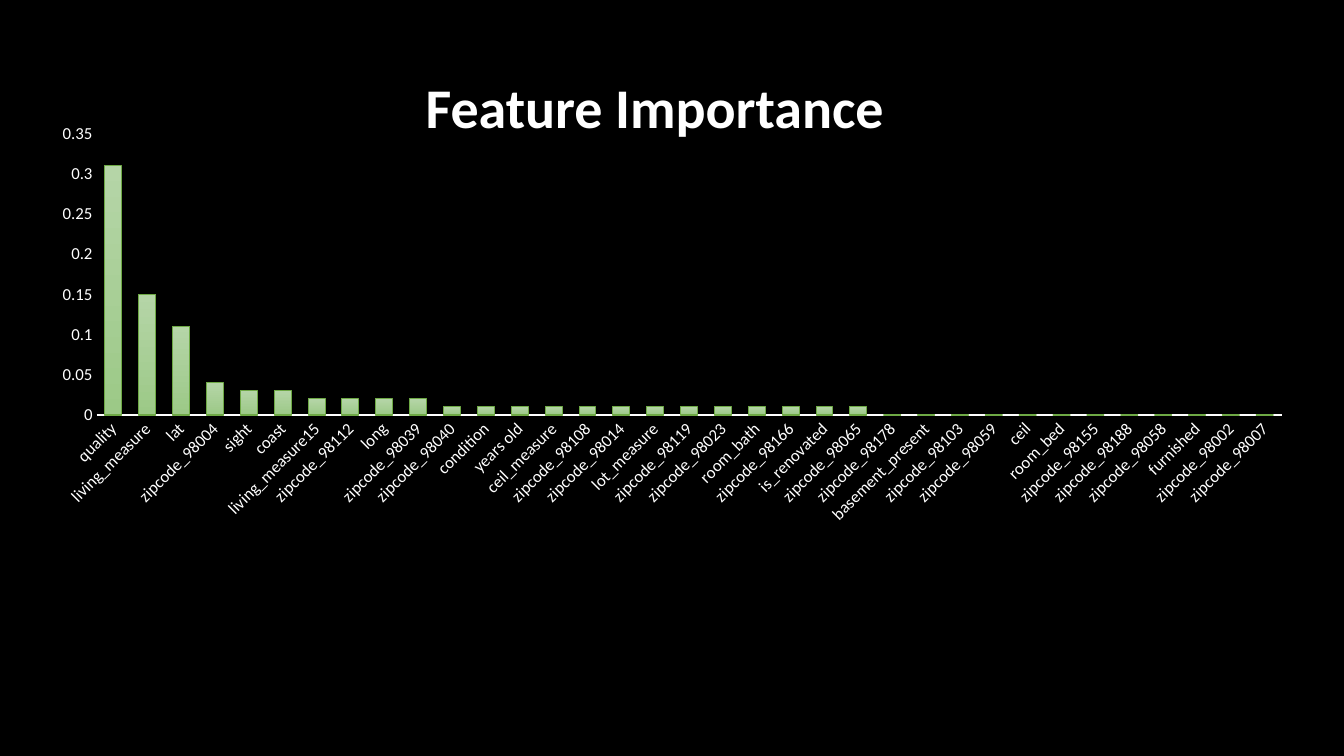
"""Build the feature importance slide with its column chart."""
from typing import NamedTuple

from pptx import Presentation
from pptx import util as u
from pptx.chart import axis as chart_axis
from pptx.chart import data as chart_data
from pptx.chart import series as chart_series
from pptx.dml import color
from pptx.enum import chart as chart_enum
from pptx.enum import text

COLORS = {
    "background": "000000",
    "text": "FFFFFF",
    "bar_top": "B5D5A7",
    "bar_bottom": "9CC987",
    "bar_line": "6EA945",
}
FONT = "Calibri"


class Feature(NamedTuple):
    name: str
    importance: float


FEATURES = [
    Feature("quality", 0.31),
    Feature("living_measure", 0.15),
    Feature("lat", 0.11),
    Feature("zipcode_98004", 0.04),
    Feature("sight", 0.03),
    Feature("coast", 0.03),
    Feature("living_measure15", 0.02),
    Feature("zipcode_98112", 0.02),
    Feature("long", 0.02),
    Feature("zipcode_98039", 0.02),
    Feature("zipcode_98040", 0.01),
    Feature("condition", 0.01),
    Feature("years old", 0.01),
    Feature("ceil_measure", 0.01),
    Feature("zipcode_98108", 0.01),
    Feature("zipcode_98014", 0.01),
    Feature("lot_measure", 0.01),
    Feature("zipcode_98119", 0.01),
    Feature("zipcode_98023", 0.01),
    Feature("room_bath", 0.01),
    Feature("zipcode_98166", 0.01),
    Feature("is_renovated", 0.01),
    Feature("zipcode_98065", 0.01),
    Feature("zipcode_98178", 0),
    Feature("basement_present", 0),
    Feature("zipcode_98103", 0),
    Feature("zipcode_98059", 0),
    Feature("ceil", 0),
    Feature("room_bed", 0),
    Feature("zipcode_98155", 0),
    Feature("zipcode_98188", 0),
    Feature("zipcode_98058", 0),
    Feature("furnished", 0),
    Feature("zipcode_98002", 0),
    Feature("zipcode_98007", 0),
]


def rgb(name: str) -> color.RGBColor:
    return color.RGBColor.from_string(COLORS[name])


def style_font(font, size: float, bold: bool = False) -> None:
    font.name = FONT
    font.size = u.Pt(size)
    font.bold = bold
    font.color.rgb = rgb("text")


def style_axis(axis: chart_axis._BaseAxis) -> None:
    axis.has_major_gridlines = False
    axis.major_tick_mark = chart_enum.XL_TICK_MARK.NONE
    axis.minor_tick_mark = chart_enum.XL_TICK_MARK.NONE
    style_font(axis.tick_labels.font, 12)


def style_bars(series: chart_series.BarSeries) -> None:
    fill = series.format.fill
    fill.gradient()
    fill.gradient_angle = 270
    for stop, name in zip(fill.gradient_stops, ("bar_top", "bar_bottom")):
        stop.color.rgb = rgb(name)
    series.format.line.color.rgb = rgb("bar_line")
    series.format.line.width = u.Pt(0.75)


def add_title(slide) -> None:
    title = slide.shapes.title
    title.left, title.top = u.Cm(1.25), u.Cm(1.7)
    title.width, title.height = u.Cm(30.5), u.Cm(1.96)
    frame = title.text_frame
    frame.text = "Feature Importance"
    frame.auto_size = text.MSO_AUTO_SIZE.NONE
    frame.vertical_anchor = text.MSO_ANCHOR.TOP
    paragraph = frame.paragraphs[0]
    paragraph.alignment = text.PP_ALIGN.CENTER
    style_font(paragraph.runs[0].font, 40, bold=True)


def add_importance_chart(slide, features: list[Feature]) -> None:
    data = chart_data.CategoryChartData()
    data.categories = [feature.name for feature in features]
    data.add_series("Series 1", [feature.importance for feature in features])
    chart = slide.shapes.add_chart(
        chart_enum.XL_CHART_TYPE.COLUMN_CLUSTERED,
        u.Cm(0.94), u.Cm(2.9), u.Cm(32), u.Cm(10.52), data,
    ).chart
    chart.has_title = False
    chart.has_legend = False
    style_font(chart.font, 10)

    plot = chart.plots[0]
    plot.gap_width = 100
    plot.overlap = -24
    plot.vary_by_categories = False
    style_bars(plot.series[0])

    for axis in (chart.category_axis, chart.value_axis):
        style_axis(axis)
    category_line = chart.category_axis.format.line
    category_line.color.rgb = rgb("text")
    category_line.width = u.Pt(0.75)
    value_axis = chart.value_axis
    value_axis.format.line.fill.background()
    value_axis.minimum_scale = 0
    value_axis.maximum_scale = 0.35
    value_axis.major_unit = 0.05
    value_axis.tick_labels.number_format = "General"
    value_axis.tick_labels.number_format_is_linked = False


def main() -> None:
    presentation = Presentation()
    presentation.slide_width = u.Cm(33.87)
    presentation.slide_height = u.Cm(19.05)
    slide = presentation.slides.add_slide(presentation.slide_layouts[5])
    background = slide.background.fill
    background.solid()
    background.fore_color.rgb = rgb("background")
    add_importance_chart(slide, FEATURES)
    add_title(slide)
    presentation.save("out.pptx")


if __name__ == "__main__":
    main()
